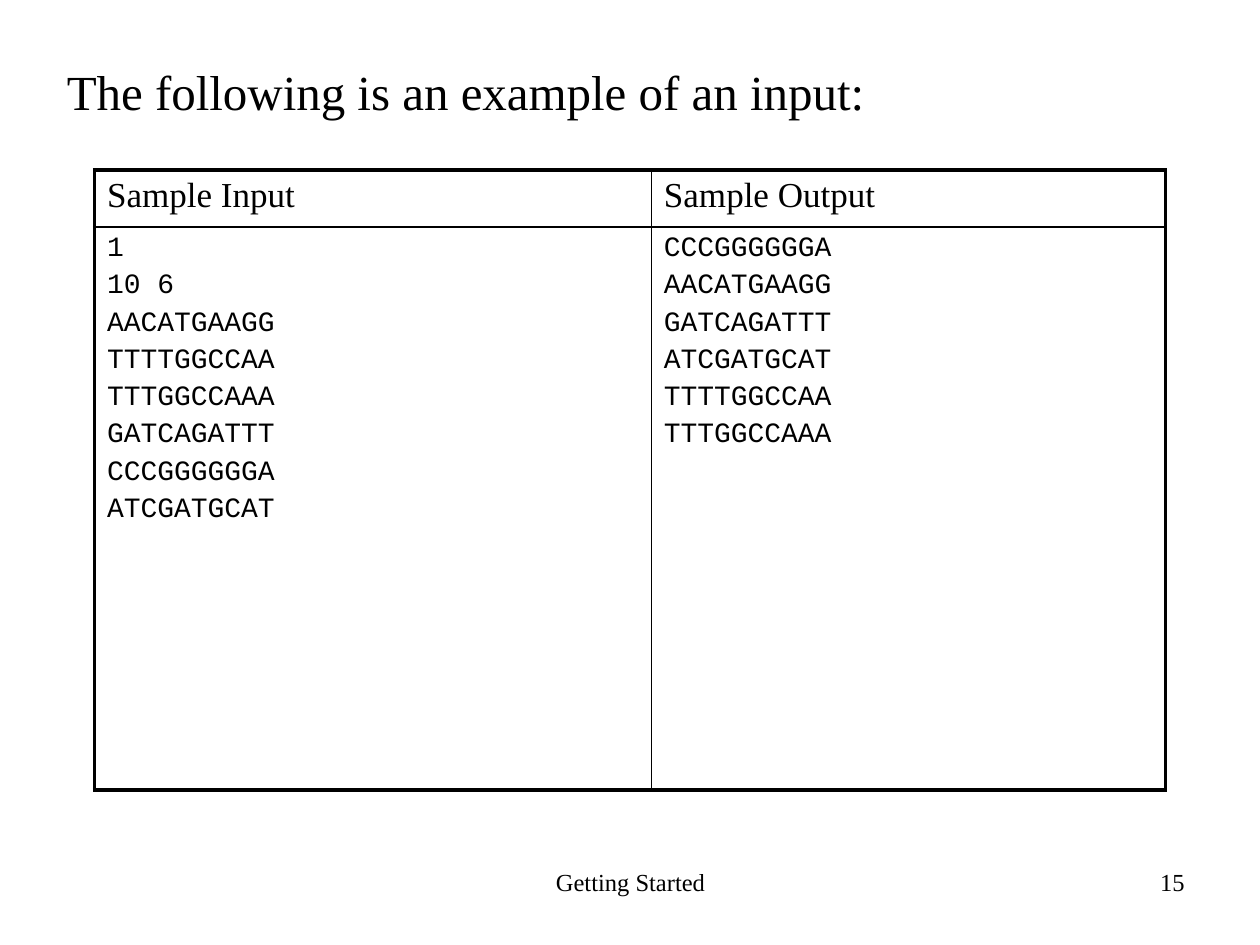
import pptx
import pptx.util
import pptx.dml.color
import pptx.enum.text
import pptx.oxml.ns
import lxml.etree

Inches = pptx.util.Inches
Pt = pptx.util.Pt
ALIGN = pptx.enum.text.PP_ALIGN
COLORS = {"ink": "000000"}
SERIF = "Times New Roman"
MONO = "Courier New"
HEADINGS = ["Sample Input", "Sample Output"]
INPUT_LINES = ["1", "10 6", "AACATGAAGG", "TTTTGGCCAA", "TTTGGCCAAA",
               "GATCAGATTT", "CCCGGGGGGA", "ATCGATGCAT"]
OUTPUT_LINES = ["CCCGGGGGGA", "AACATGAAGG", "GATCAGATTT", "ATCGATGCAT",
                "TTTTGGCCAA", "TTTGGCCAAA"]


def write_lines(text_frame, lines, size, font=SERIF, align=ALIGN.LEFT, gap=0.2):
    """Write one paragraph per line, spaced by a share of the text size."""
    for index, line in enumerate(lines):
        paragraph = text_frame.paragraphs[0] if index == 0 else text_frame.add_paragraph()
        paragraph.alignment = align
        paragraph.space_before = Pt(size * gap)
        run = paragraph.add_run()
        run.text = line
        run.font.size = Pt(size)
        run.font.name = font
        run.font.color.rgb = pptx.dml.color.RGBColor.from_string(COLORS["ink"])


def add_statement(slide, left, top, width, height):
    """Place the sentence in the body placeholder."""
    body = slide.placeholders[1]
    body.left, body.top = Inches(left), Inches(top)
    body.width, body.height = Inches(width), Inches(height)
    body.text_frame.auto_size = pptx.enum.text.MSO_AUTO_SIZE.NONE
    write_lines(body.text_frame, ["The following is an example of an input:"], 28)
    properties = body.text_frame.paragraphs[0]._p.get_or_add_pPr()
    properties.set("marL", str(Inches(0.38)))
    properties.set("indent", str(Inches(-0.38)))
    lxml.etree.SubElement(properties, pptx.oxml.ns.qn("a:buNone"))


def add_border(cell, side, width):
    """Draw one solid border of a table cell."""
    qn = pptx.oxml.ns.qn
    line = lxml.etree.SubElement(cell._tc.get_or_add_tcPr(), qn("a:ln" + side), w=str(Pt(width)))
    fill = lxml.etree.SubElement(line, qn("a:solidFill"))
    lxml.etree.SubElement(fill, qn("a:srgbClr"), val=COLORS["ink"])


def add_sample_table(slide, left, top, column_widths, row_heights):
    """Place the table with a thick frame and thin inner lines."""
    frame = slide.shapes.add_table(
        len(row_heights), len(column_widths), Inches(left), Inches(top),
        Inches(sum(column_widths)), Inches(sum(row_heights)))
    table = frame.table
    table.first_row = False
    table.horz_banding = False
    for column, width in zip(table.columns, column_widths):
        column.width = Inches(width)
    for row, height in zip(table.rows, row_heights):
        row.height = Inches(height)
    last_row, last_column = len(row_heights) - 1, len(column_widths) - 1
    bodies = [INPUT_LINES, OUTPUT_LINES]
    for row in range(len(row_heights)):
        for column in range(len(column_widths)):
            cell = table.cell(row, column)
            if row == 0:
                write_lines(cell.text_frame, [HEADINGS[column]], 20)
            else:
                write_lines(cell.text_frame, bodies[column], 16, MONO)
            outer_sides = {"L": column == 0, "R": column == last_column,
                           "T": row == 0, "B": row == last_row}
            for side, is_outer in outer_sides.items():
                add_border(cell, side, 2.25 if is_outer else 1)
            cell.fill.background()


def add_footer_text(slide, text, left, top, width, height, align):
    """Place one text of the footer line."""
    box = slide.shapes.add_textbox(Inches(left), Inches(top), Inches(width), Inches(height))
    box.text_frame.word_wrap = True
    write_lines(box.text_frame, [text], 14, align=align, gap=0)


def build_sample_slide(presentation):
    """Build the slide with the sample input and output."""
    slide = presentation.slides.add_slide(presentation.slide_layouts[1])
    title = slide.shapes.title
    title._element.getparent().remove(title._element)
    add_footer_text(slide, "Getting Started", 3.42, 6.83, 3.17, 0.52, ALIGN.CENTER)
    add_footer_text(slide, "15", 7.17, 6.83, 2.33, 0.52, ALIGN.RIGHT)
    add_statement(slide, 0.43, 0.44, 9, 4.95)
    add_sample_table(slide, 0.75, 1.35, [4.42, 4.08], [0.45, 4.47])


presentation = pptx.Presentation()
presentation.slide_width = Inches(10)
presentation.slide_height = Inches(7.5)
build_sample_slide(presentation)
presentation.save("out.pptx")
